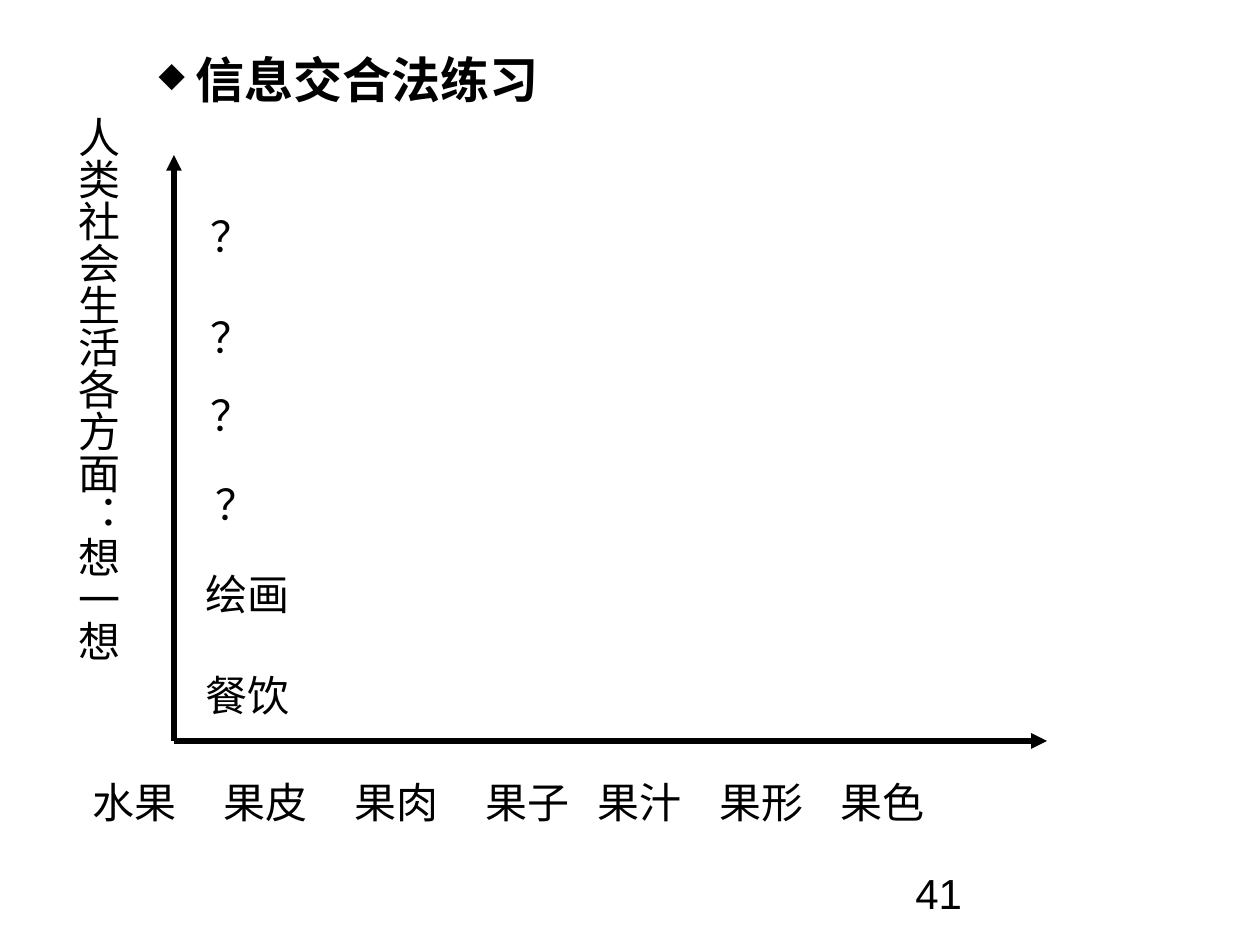
from dataclasses import dataclass

from lxml import etree
from pptx import Presentation, util as u
from pptx.dml.color import RGBColor
from pptx.enum import shapes, text
from pptx.oxml.ns import qn

PX_PER_INCH = 126


@dataclass(frozen=True)
class Theme:
    """Colours, font and type sizes of the slide."""
    ink: RGBColor = RGBColor(0, 0, 0)
    paper: RGBColor = RGBColor(255, 255, 255)
    font: str = "Arial"
    heading: int = 28
    label: int = 24
    axis: int = 3


THEME = Theme()


def px(length):
    """Turn whole pixels into EMU."""
    return u.Emu(round(length * u.Inches(1) / PX_PER_INCH))


def add_xml(parent, tag, **attributes):
    """Append a child element with the given attributes."""
    return etree.SubElement(parent, qn(tag), attributes)


def write(frame, content, size=THEME.label, bold=False, gap=0, tabs=(),
          bullet=None, wrap=False, grow=True):
    """Write one paragraph per line of content in the given format."""
    frame.word_wrap = wrap
    frame.vertical_anchor = text.MSO_ANCHOR.TOP
    frame.auto_size = (text.MSO_AUTO_SIZE.SHAPE_TO_FIT_TEXT if grow
                       else text.MSO_AUTO_SIZE.NONE)
    for index, line in enumerate(content.split("\n")):
        paragraph = frame.add_paragraph() if index else frame.paragraphs[0]
        properties = paragraph._p.get_or_add_pPr()
        if bullet:
            properties.set("marL", str(px(48)))
            properties.set("indent", str(px(-37)))
            add_xml(properties, "a:buSzPct", val="70000")
            add_xml(properties, "a:buChar", char=bullet)
        if tabs:
            stops = add_xml(properties, "a:tabLst")
            for stop in tabs:
                add_xml(stops, "a:tab", pos=str(px(stop)), algn="l")
        paragraph.alignment = text.PP_ALIGN.LEFT
        paragraph.space_before = u.Pt(gap if index else 0)
        run = paragraph.add_run()
        run.text = line
        run.font.name = THEME.font
        run.font.size = u.Pt(size)
        run.font.bold = bold
        run.font.color.rgb = THEME.ink


def place_title(slide, content, left, top, width, height):
    """Move the title placeholder and fill it with a bulleted heading."""
    title = slide.shapes.title
    title.left, title.top = px(left), px(top)
    title.width, title.height = px(width), px(height)
    write(title.text_frame, content, size=THEME.heading, bold=True, bullet="◆")


def add_label(slide, content, left, top, width, height, **style):
    """Add a text box and return its frame."""
    frame = slide.shapes.add_textbox(
        px(left), px(top), px(width), px(height)).text_frame
    write(frame, content, **style)
    return frame


def add_vertical_label(slide, content, left, top, width, height):
    """Add a label whose characters run from top to bottom."""
    frame = add_label(slide, content, left, top, width, height)
    frame.margin_left = frame.margin_right = u.Inches(0.05)
    frame.margin_top = frame.margin_bottom = u.Inches(0.1)
    frame._txBody.bodyPr.set("vert", "eaVert")


def add_axis(slide, start, end):
    """Draw an axis with an arrowhead at its end."""
    axis = slide.shapes.add_connector(
        shapes.MSO_CONNECTOR.STRAIGHT, *map(px, start + end))
    axis.line.color.rgb = THEME.ink
    axis.line.width = u.Pt(THEME.axis)
    add_xml(axis.line._get_or_add_ln(), "a:tailEnd", type="triangle")
    add_xml(axis._element.spPr, "a:effectLst")


def main():
    """Build the slide and save it."""
    deck = Presentation()
    deck.slide_width, deck.slide_height = u.Inches(10), u.Inches(7.5)
    slide = deck.slides.add_slide(deck.slide_layouts[5])
    slide.background.fill.solid()
    slide.background.fill.fore_color.rgb = THEME.paper

    place_title(slide, "信息交合法练习", 135, 43, 420, 72)
    add_label(slide, "41", 903, 861, 294, 66, wrap=True, grow=False)

    origin = (174, 741)
    add_axis(slide, origin, (174, 155))
    add_axis(slide, origin, (1047, 741))

    fruit_parts = ("水果", "果皮", "果肉", "果子", "果汁", "果形", "果色")
    add_label(slide, "\t".join(fruit_parts), 80, 770, 1159, 63,
              tabs=(131, 262, 393, 505, 627, 748))
    add_vertical_label(slide, "人类社会生活各方面：想一想", 54, 104, 76, 559)

    add_label(slide, "？", 203, 472, 57, 63, wrap=True)
    add_label(slide, "？", 198, 383, 67, 63)
    add_label(slide, "？\n？", 198, 204, 67, 164, gap=29)
    add_label(slide, "绘画\n餐饮", 193, 562, 114, 164, gap=29)

    deck.save("out.pptx")


if __name__ == "__main__":
    main()
